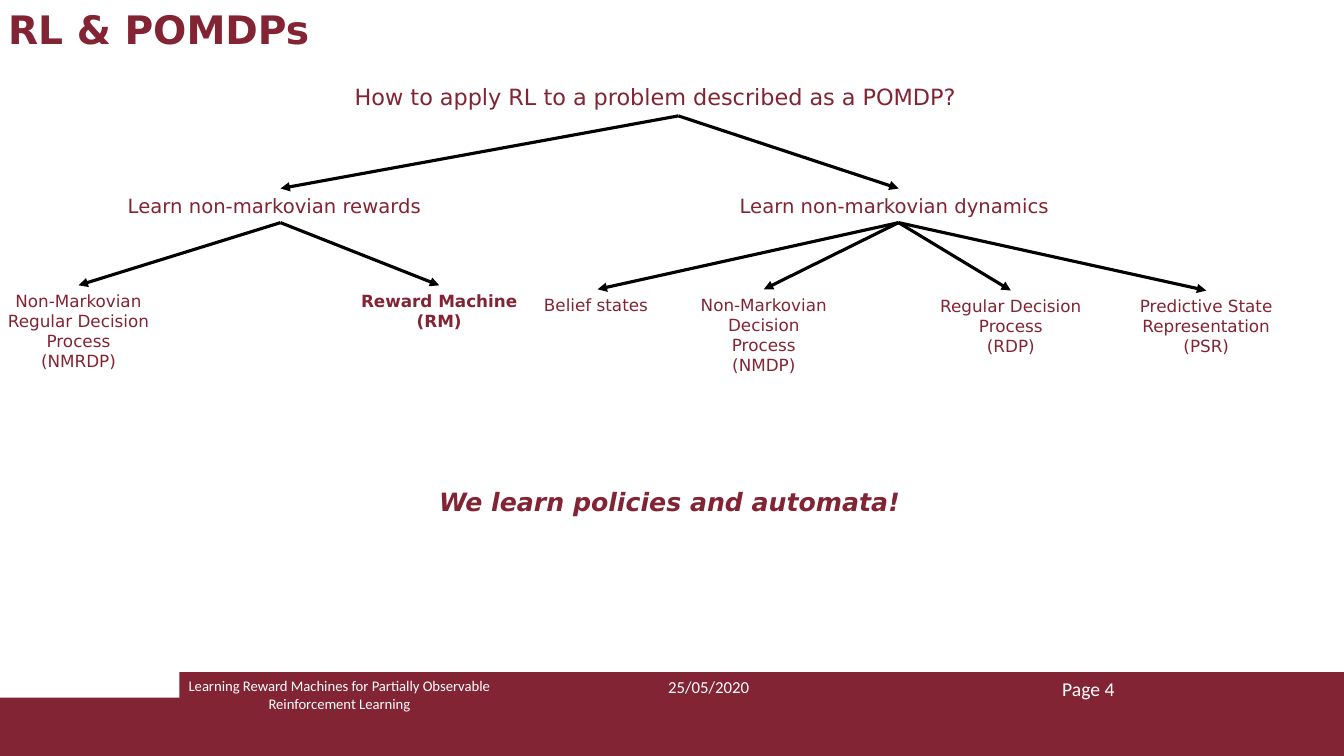
from dataclasses import dataclass

from lxml import etree
from pptx import Presentation
from pptx import util as u
from pptx.dml import color
from pptx.enum import shapes, text
from pptx.oxml import ns

BURGUNDY, WHITE, BLACK = "822433", "FFFFFF", "000000"
LEFT, CENTRE, RIGHT = text.PP_ALIGN.LEFT, text.PP_ALIGN.CENTER, text.PP_ALIGN.RIGHT


@dataclass
class Label:
    """A piece of text with its box in centimetres."""
    wording: str
    left: float
    top: float
    width: float
    height: float
    size: float = 12
    align: text.PP_ALIGN = CENTRE
    bold: bool = False
    italic: bool = False
    font: str = "DejaVu Sans"
    colour: str = BURGUNDY


@dataclass
class Branch:
    """A parent label and the labels its arrows lead to."""
    parent: str
    children: list[str]


def rgb(hex_colour: str) -> color.RGBColor:
    return color.RGBColor.from_string(hex_colour)


def write(shape, label: Label) -> None:
    """Place a text shape and format its wording."""
    shape.left, shape.top = u.Cm(label.left), u.Cm(label.top)
    shape.width, shape.height = u.Cm(label.width), u.Cm(label.height)
    frame = shape.text_frame
    frame.text = label.wording
    frame.word_wrap = True
    frame.auto_size = text.MSO_AUTO_SIZE.NONE
    frame.vertical_anchor = text.MSO_ANCHOR.TOP
    for paragraph in frame.paragraphs:
        paragraph.alignment = label.align
        for run in paragraph.runs:
            run.font.name = label.font
            run.font.size = u.Pt(label.size)
            run.font.bold = label.bold
            run.font.italic = label.italic
            run.font.color.rgb = rgb(label.colour)


def add_label(slide, label: Label):
    box = slide.shapes.add_textbox(0, 0, 0, 0)
    write(box, label)
    return box


def add_band(slide, left: float, top: float) -> None:
    """Draw a footer band reaching the lower right corner."""
    band = slide.shapes.add_shape(
        shapes.MSO_SHAPE.RECTANGLE, u.Cm(left), u.Cm(top),
        u.Cm(SLIDE_WIDTH - left), u.Cm(SLIDE_HEIGHT - top))
    band.shadow.inherit = False
    band.fill.solid()
    band.fill.fore_color.rgb = rgb(BURGUNDY)
    band.line.fill.background()


def add_arrow(slide, parent, child) -> None:
    """Join the bottom of the parent to the top of the child."""
    arrow = slide.shapes.add_connector(shapes.MSO_CONNECTOR.STRAIGHT, 0, 0, 0, 0)
    arrow.begin_connect(parent, 2)
    arrow.end_connect(child, 0)
    arrow.line.color.rgb = rgb(BLACK)
    arrow.line.width = u.Pt(2.25)
    etree.SubElement(arrow.line._get_or_add_ln(), ns.qn("a:tailEnd"), type="triangle")
    etree.SubElement(arrow._element.spPr, ns.qn("a:effectLst"))


SLIDE_WIDTH, SLIDE_HEIGHT = 33.87, 19.05
FOOTER_TOP = 16.94

TITLE = Label("RL & POMDPs", -0.05, 0, 33.91, 1.45, 28, LEFT, bold=True)
CLOSING = Label("We learn policies and automata!", 10.82, 12.14, 12.19, 1.02,
                18, LEFT, bold=True, italic=True)

FOOTER = [
    Label("Learning Reward Machines for Partially Observable Reinforcement Learning",
          3.4, FOOTER_TOP, 10.31, 1.27, 10.5, font="Calibri", colour=WHITE),
    Label("Page 4", 23.06, FOOTER_TOP, 5.28, 1.27, 14, RIGHT, font="Calibri", colour=WHITE),
    Label("25/05/2020", 16.59, FOOTER_TOP, 4.01, 0.76, 12, LEFT, font="Calibri", colour=WHITE),
]

TREE = {
    "question": Label("How to apply RL to a problem described as a POMDP?",
                      8.69, 1.98, 16.81, 0.94, 16, LEFT),
    "rewards": Label("Learn non-markovian rewards", 2.97, 4.75, 8.2, 0.86, 14, LEFT),
    "dynamics": Label("Learn non-markovian dynamics", 18.39, 4.75, 8.51, 0.86, 14, LEFT),
    "belief": Label("Belief states", 13.46, 7.29, 3.2, 0.76, align=LEFT),
    "nmdp": Label("Non-Markovian\nDecision Process\n(NMDP)", 17.32, 7.29, 3.86, 2.31),
    "rdp": Label("Regular Decision\nProcess\n(RDP)", 23.42, 7.32, 4.11, 1.8),
    "psr": Label("Predictive State\nRepresentation\n(PSR)", 28.37, 7.32, 4.06, 1.8),
    "nmrdp": Label("Non-Markovian Regular Decision Process\n(NMRDP)",
                   -0.05, 7.19, 4.06, 2.31),
    "rm": Label("Reward Machine (RM)", 8.81, 7.19, 4.52, 1.27, bold=True),
}

BRANCHES = [
    Branch("question", ["rewards", "dynamics"]),
    Branch("rewards", ["nmrdp", "rm"]),
    Branch("dynamics", ["belief", "nmdp", "rdp", "psr"]),
]


def main() -> None:
    deck = Presentation()
    deck.slide_width, deck.slide_height = u.Cm(SLIDE_WIDTH), u.Cm(SLIDE_HEIGHT)
    slide = deck.slides.add_slide(deck.slide_layouts[5])

    # Footer
    add_band(slide, 0, 17.58)
    add_band(slide, 4.52, FOOTER_TOP)
    for note in FOOTER:
        add_label(slide, note)

    # Title
    write(slide.shapes.title, TITLE)

    # Tree of approaches
    nodes = {key: add_label(slide, label) for key, label in TREE.items()}
    for branch in BRANCHES:
        for child in branch.children:
            add_arrow(slide, nodes[branch.parent], nodes[child])

    # Closing statement
    add_label(slide, CLOSING)

    deck.save("out.pptx")


if __name__ == "__main__":
    main()
